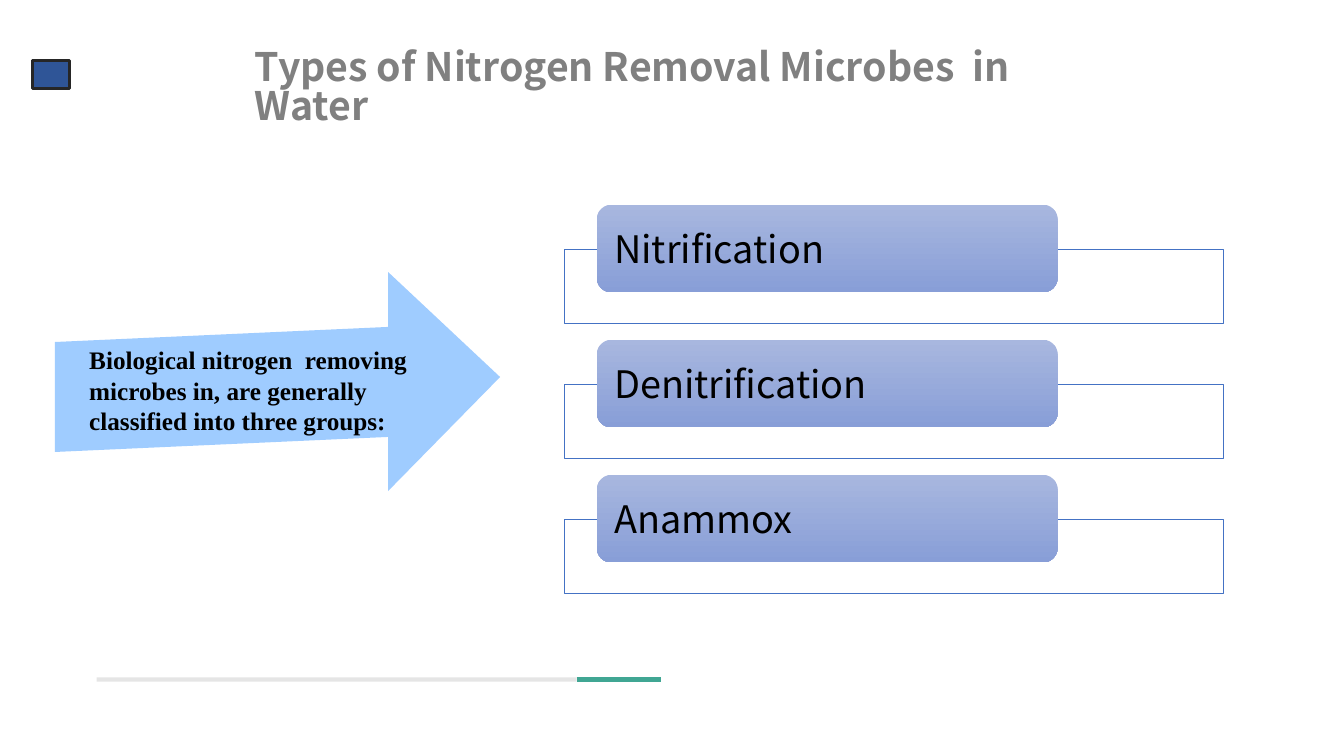
from typing import NamedTuple

from lxml import etree
from pptx import Presentation, util as u
from pptx.dml.color import RGBColor
from pptx.enum import shapes, text
from pptx.oxml.ns import qn

SLIDE_WIDTH, SLIDE_HEIGHT = u.Inches(13.33), u.Inches(7.5)

WHITE = RGBColor(0xFF, 0xFF, 0xFF)
BLACK = RGBColor(0x00, 0x00, 0x00)
GRAY = RGBColor(0x80, 0x80, 0x80)
CHARCOAL = RGBColor(0x26, 0x26, 0x26)
NAVY = RGBColor(0x2F, 0x55, 0x97)
BLUE = RGBColor(0x44, 0x72, 0xC4)
SKY = RGBColor(0x9F, 0xCC, 0xFF)
TEAL = RGBColor(0x40, 0xA6, 0x93)
LABEL_TOP = RGBColor(0xA8, 0xB7, 0xDF)
LABEL_BOTTOM = RGBColor(0x88, 0x9E, 0xD7)

SANS, SERIF = "Noto Sans CJK SC", "Times New Roman"


class Box(NamedTuple):
    """Left, top, width and height in percent of the slide."""
    left: float
    top: float
    width: float
    height: float

    def lowered(self, distance: float) -> "Box":
        return self._replace(top=self.top + distance)

    def lengths(self) -> tuple:
        return across(self.left), down(self.top), across(self.width), down(self.height)


class TextStyle(NamedTuple):
    font: str
    size: float
    color: RGBColor
    bold: bool = False


class Rule(NamedTuple):
    start: float
    end: float
    color: RGBColor
    opacity: int


TITLE_STYLE = TextStyle(SANS, 28, GRAY, True)
LABEL_STYLE = TextStyle(SANS, 27, BLACK)
ARROW_STYLE = TextStyle(SERIF, 18, BLACK, True)

TITLE_BOX = Box(18.23, 6, 63.54, 7.6)
MARKER_BOX = Box(2.4, 8, 2.78, 3.73)
FRAME_BOX = Box(42.01, 32.93, 48.99, 9.87)
LABEL_BOX = Box(44.41, 27.07, 34.28, 11.6)
GROUP_STEP = 17.87
GROUPS = ("Nitrification", "Denitrification", "Anammox")

ARROW_OUTLINE = ((4.09, 45.24), (28.88, 43.25), (28.88, 35.98), (37.21, 49.87),
                 (28.88, 64.95), (28.88, 57.8), (4.09, 59.79))

RULE_TOP = 89.87
RULES = (Rule(7.2, 42.9, BLACK, 10), Rule(42.9, 49.21, TEAL, 100))


def across(percent: float) -> int:
    return round(SLIDE_WIDTH * percent / 100)


def down(percent: float) -> int:
    return round(SLIDE_HEIGHT * percent / 100)


def set_opacity(properties, percent: int) -> None:
    """Set the opacity of the first solid colour under the properties."""
    color = properties.find(".//" + qn("a:srgbClr"))
    etree.SubElement(color, qn("a:alpha")).set("val", str(percent * 1000))


def write(shape, words: str, style: TextStyle, margins: tuple = (0.1, 0.05, 0.1, 0.05),
          anchor=text.MSO_ANCHOR.MIDDLE):
    frame = shape.text_frame
    frame.word_wrap = True
    frame.vertical_anchor = anchor
    (frame.margin_left, frame.margin_top,
     frame.margin_right, frame.margin_bottom) = map(u.Inches, margins)
    paragraph = frame.paragraphs[0]
    paragraph.alignment = text.PP_ALIGN.LEFT
    run = paragraph.add_run()
    run.text = words
    run.font.name = style.font
    run.font.size = u.Pt(style.size)
    run.font.bold = style.bold
    run.font.color.rgb = style.color
    return paragraph


def add_rectangle(slide, box: Box, fill: RGBColor, line: RGBColor, line_width: float):
    shape = slide.shapes.add_shape(shapes.MSO_SHAPE.RECTANGLE, *box.lengths())
    shape.shadow.inherit = False
    shape.fill.solid()
    shape.fill.fore_color.rgb = fill
    shape.line.color.rgb = line
    shape.line.width = u.Pt(line_width)
    return shape


def add_title(slide) -> None:
    box = slide.shapes.add_textbox(*TITLE_BOX.lengths())
    paragraph = write(box, "Types of Nitrogen Removal Microbes  in Water", TITLE_STYLE,
                      anchor=text.MSO_ANCHOR.TOP)
    paragraph.line_spacing = 0.83


def add_rule(slide, rule: Rule) -> None:
    connector = slide.shapes.add_connector(
        shapes.MSO_CONNECTOR.STRAIGHT, across(rule.start), down(RULE_TOP),
        across(rule.end), down(RULE_TOP))
    connector.line.color.rgb = rule.color
    connector.line.width = u.Pt(3)
    properties = connector._element.spPr
    set_opacity(properties, rule.opacity)
    etree.SubElement(properties, qn("a:effectLst"))


def add_group(slide, name: str, distance: float) -> None:
    """Draw a framed band with a gradient label over its upper edge."""
    frame = add_rectangle(slide, FRAME_BOX.lowered(distance), WHITE, BLUE, 0.5)
    set_opacity(frame._element.spPr, 90)
    label = slide.shapes.add_shape(shapes.MSO_SHAPE.ROUNDED_RECTANGLE,
                                   *LABEL_BOX.lowered(distance).lengths())
    label.shadow.inherit = False
    label.line.fill.background()
    label.fill.gradient()
    label.fill.gradient_angle = 270
    for stop, color in zip(label.fill.gradient_stops, (LABEL_TOP, LABEL_BOTTOM)):
        stop.color.rgb = color
    write(label, name, LABEL_STYLE, (0.13, 0, 0.13, 0))


def add_arrow(slide) -> None:
    corners = [(across(x), down(y)) for x, y in ARROW_OUTLINE]
    builder = slide.shapes.build_freeform(*corners[0])
    builder.add_line_segments(corners[1:], close=True)
    arrow = builder.convert_to_shape()
    arrow.shadow.inherit = False
    arrow.fill.solid()
    arrow.fill.fore_color.rgb = SKY
    arrow.line.fill.background()
    write(arrow, "Biological nitrogen  removing microbes in, are generally "
                 "classified into three groups:", ARROW_STYLE, (0.34, 0.17, 0.72, 0))


def main() -> None:
    presentation = Presentation()
    presentation.slide_width, presentation.slide_height = SLIDE_WIDTH, SLIDE_HEIGHT
    slide = presentation.slides.add_slide(presentation.slide_layouts[6])
    add_title(slide)
    add_rectangle(slide, MARKER_BOX, NAVY, CHARCOAL, 2.25)
    for rule in RULES:
        add_rule(slide, rule)
    for index, name in enumerate(GROUPS):
        add_group(slide, name, index * GROUP_STEP)
    add_arrow(slide)
    presentation.save("out.pptx")


if __name__ == "__main__":
    main()
